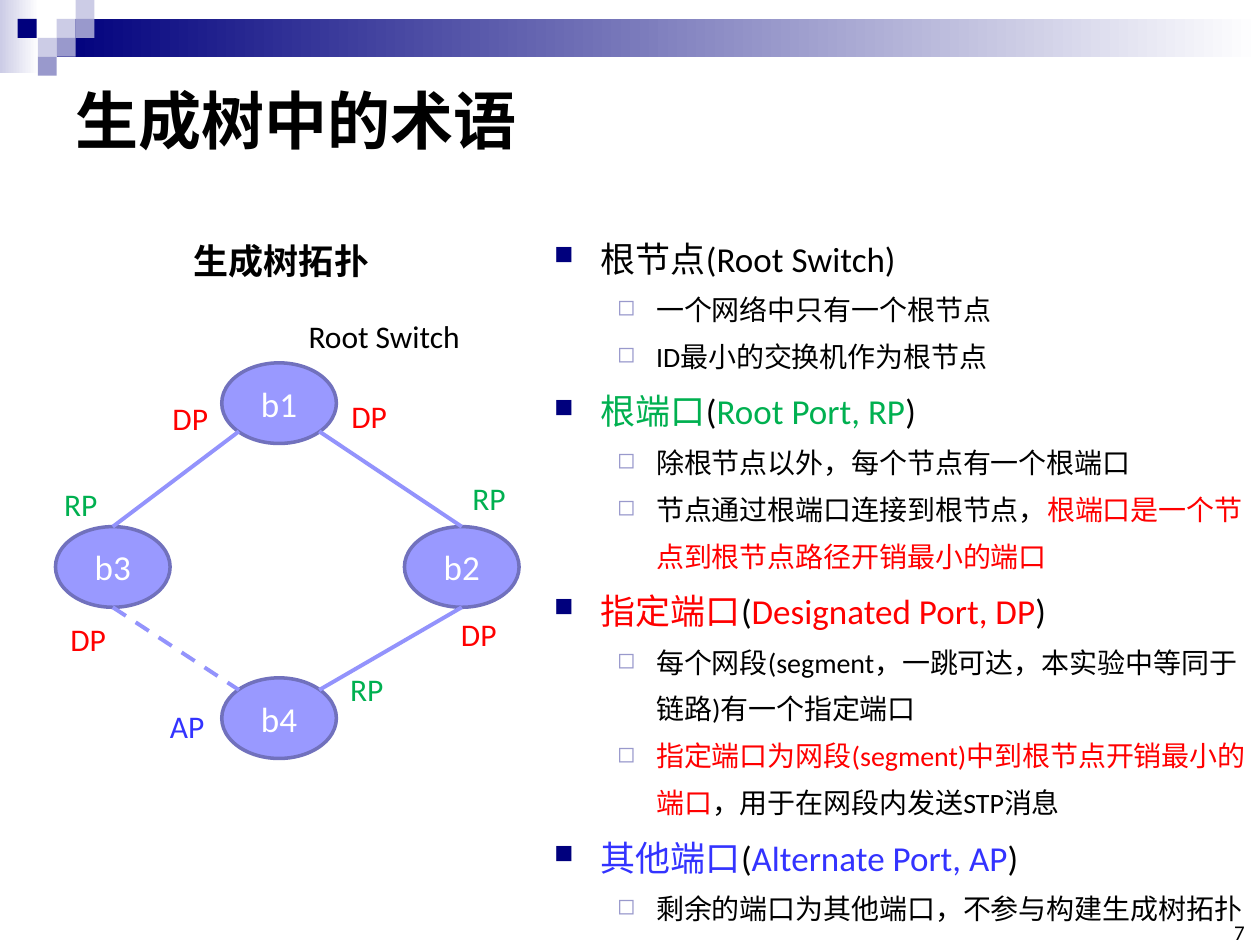
from pptx import Presentation
from pptx.dml.color import RGBColor
from pptx.enum.dml import MSO_LINE
from pptx.enum.shapes import MSO_CONNECTOR, MSO_SHAPE
from pptx.enum.text import MSO_ANCHOR, PP_ALIGN
from pptx.oxml.ns import qn
from pptx.util import Emu, Pt
from lxml import etree

RECT, OVAL = MSO_SHAPE.RECTANGLE, MSO_SHAPE.OVAL
LINE, DASH = MSO_CONNECTOR.STRAIGHT, MSO_LINE.DASH
LEFT, MID, RIGHT = PP_ALIGN.LEFT, PP_ALIGN.CENTER, PP_ALIGN.RIGHT
CENTER, TOP, BASE = MSO_ANCHOR.MIDDLE, MSO_ANCHOR.TOP, MSO_ANCHOR.BOTTOM

BLACK, WHITE, NAVY = "000000", "FFFFFF", "00007D"
PALE, MUTED = "CCCCE6", "9999CC"
RED, GREEN, BLUE = "FF0000", "00B050", "3333FF"
SCALE = 9144  # 100 px to the inch


def px(n):
    return Emu(round(n * SCALE))


def color(code):
    return RGBColor.from_string(code)


class Deck:
    font = "Calibri"
    # level: size, left indent, hanging indent, bullet, bullet colour, bullet percent
    levels = [(20, 37, 37, "■", NAVY, 75), (16, 81, 31, "◻", MUTED, 80)]

    def __init__(self):
        self.prs = Presentation()
        self.prs.slide_width, self.prs.slide_height = px(1000), px(750)
        self.slide = self.prs.slides.add_slide(self.prs.slide_layouts[5])
        self.shapes = self.slide.shapes

    def run(self, para, text, size, code=BLACK, bold=False):
        run = para.add_run()
        run.text = text
        font = run.font
        font.name, font.size, font.bold = self.font, Pt(size), bold
        font.color.rgb = color(code)

    def title(self, box, text):
        shape = self.shapes.title
        shape.left, shape.top, shape.width, shape.height = map(px, box)
        shape.text_frame.vertical_anchor = CENTER
        para = shape.text_frame.paragraphs[0]
        para.alignment = LEFT
        self.run(para, text, 36, bold=True)

    def shape(self, kind, box, fill, edge=None):
        shape = self.shapes.add_shape(kind, *map(px, box))
        shape.shadow.inherit = False
        if isinstance(fill, tuple):
            shape.fill.gradient()
            shape.fill.gradient_angle = 0
            for stop, code in zip(shape.fill.gradient_stops, fill):
                stop.color.rgb = color(code)
        else:
            shape.fill.solid()
            shape.fill.fore_color.rgb = color(fill)
        if edge:
            shape.line.color.rgb = color(edge)
            shape.line.width = Pt(2)
        else:
            shape.line.fill.background()
        return shape

    def node(self, box, text):
        frame = self.shape(OVAL, box, "9999FF", "7171BD").text_frame
        frame.vertical_anchor = CENTER
        para = frame.paragraphs[0]
        para.alignment = MID
        self.run(para, text, 20, WHITE)

    def link(self, start, end, dash=None):
        line = self.shapes.add_connector(LINE, *map(px, start + end))
        line.line.color.rgb = color("9393FC")
        line.line.width = Pt(2.25)
        if dash:
            line.line.dash_style = dash
        props = line._element.spPr
        etree.SubElement(props, qn("a:effectLst"))

    def label(self, box, text, size=18, code=BLACK, bold=False):
        frame = self.shapes.add_textbox(*map(px, box)).text_frame
        frame.word_wrap = False
        self.run(frame.paragraphs[0], text, size, code, bold)

    def number(self, box, text):
        frame = self.shapes.add_textbox(*map(px, box)).text_frame
        frame.margin_left = frame.margin_right = 0
        frame.margin_top = frame.margin_bottom = 0
        frame.vertical_anchor = BASE
        frame.paragraphs[0].alignment = RIGHT
        self.run(frame.paragraphs[0], text, 12)

    def bullet(self, para, level):
        size, left, hang, mark, code, scale = self.levels[level]
        props = para._p.get_or_add_pPr()
        props.set("marL", str(px(left)))
        props.set("indent", str(px(-hang)))
        tint = etree.SubElement(props, qn("a:buClr"))
        etree.SubElement(tint, qn("a:srgbClr"), val=code)
        etree.SubElement(props, qn("a:buSzPct"), val=str(scale * 1000))
        etree.SubElement(props, qn("a:buChar"), char=mark)
        para.level, para.line_spacing = level, 1.4
        para.space_before = para.space_after = Pt(0)
        return size

    def outline(self, box, items):
        frame = self.shapes.add_textbox(*map(px, box)).text_frame
        frame.word_wrap = True
        frame.vertical_anchor = TOP
        for i, (level, *runs) in enumerate(items):
            para = frame.add_paragraph() if i else frame.paragraphs[0]
            size = self.bullet(para, level)
            for text, code in runs:
                self.run(para, text, size, code)


def term(name, full, code):
    return (0, (name, code), ("(", BLACK), (full, code), (")", BLACK))


def main():
    deck = Deck()

    # Banner: two fading bars and a stair of small squares
    deck.shape(RECT, (0, 0, 31, 58), (PALE, WHITE))
    deck.shape(RECT, (45, 15, 955, 30), (NAVY, WHITE))
    for x, y, fill in [(45, 15, PALE), (60, 0, PALE), (60, 15, MUTED), (30, 30, PALE),
                       (14, 15, NAVY), (45, 30, MUTED), (30, 45, MUTED)]:
        deck.shape(RECT, (x, y, 15, 15), fill)

    deck.title((50, 50, 900, 89), "生成树中的术语")
    deck.number((965, 733, 23, 17), "7")

    # Topology nodes
    wide, high = 91, 64
    nodes = {"b1": (176, 288), "b3": (44, 418), "b2": (321, 418), "b4": (176, 538)}
    for name, spot in nodes.items():
        deck.node(spot + (wide, high), name)

    # Links meet the ovals at the middle or on the diagonals
    near, far = 0.15, 0.85

    def port(name, across, down):
        x, y = nodes[name]
        return (x + wide * across, y + high * down)

    deck.link(port("b1", near, far), port("b3", 0.5, 0))
    deck.link(port("b1", far, far), port("b2", 0.5, 0))
    deck.link(port("b3", 0.5, 1), port("b4", near, near), DASH)
    deck.link(port("b2", 0.5, 1), port("b4", far, near))

    # Captions and port labels
    deck.label((144, 185, 161, 44), "生成树拓扑", 20, bold=True)
    deck.label((235, 247, 142, 40), "Root Switch")
    ports = {("RP", GREEN): [(41, 380), (365, 375), (268, 527)],
             ("DP", RED): [(127, 312), (269, 310), (46, 487), (356, 483)],
             ("AP", BLUE): [(125, 556)]}
    for (text, code), spots in ports.items():
        for spot in spots:
            deck.label(spot + (48, 40), text, code=code)

    # Terms
    deck.outline((430, 170, 570, 551), [
        (0, ("根节点(Root Switch)", BLACK)),
        (1, ("一个网络中只有一个根节点", BLACK)),
        (1, ("ID最小的交换机作为根节点", BLACK)),
        term("根端口", "Root Port, RP", GREEN),
        (1, ("除根节点以外，每个节点有一个根端口", BLACK)),
        (1, ("节点通过根端口连接到根节点，", BLACK),
            ("根端口是一个节点到根节点路径开销最小的端口", RED)),
        term("指定端口", "Designated Port, DP", RED),
        (1, ("每个网段(segment，一跳可达，本实验中等同于链路)有一个指定端口", BLACK)),
        (1, ("指定端口为网段(segment)中到根节点开销最小的端口", RED),
            ("，用于在网段内发送STP消息", BLACK)),
        term("其他端口", "Alternate Port, AP", BLUE),
        (1, ("剩余的端口为其他端口，不参与构建生成树拓扑", BLACK)),
    ])

    deck.prs.save("out.pptx")


if __name__ == "__main__":
    main()
